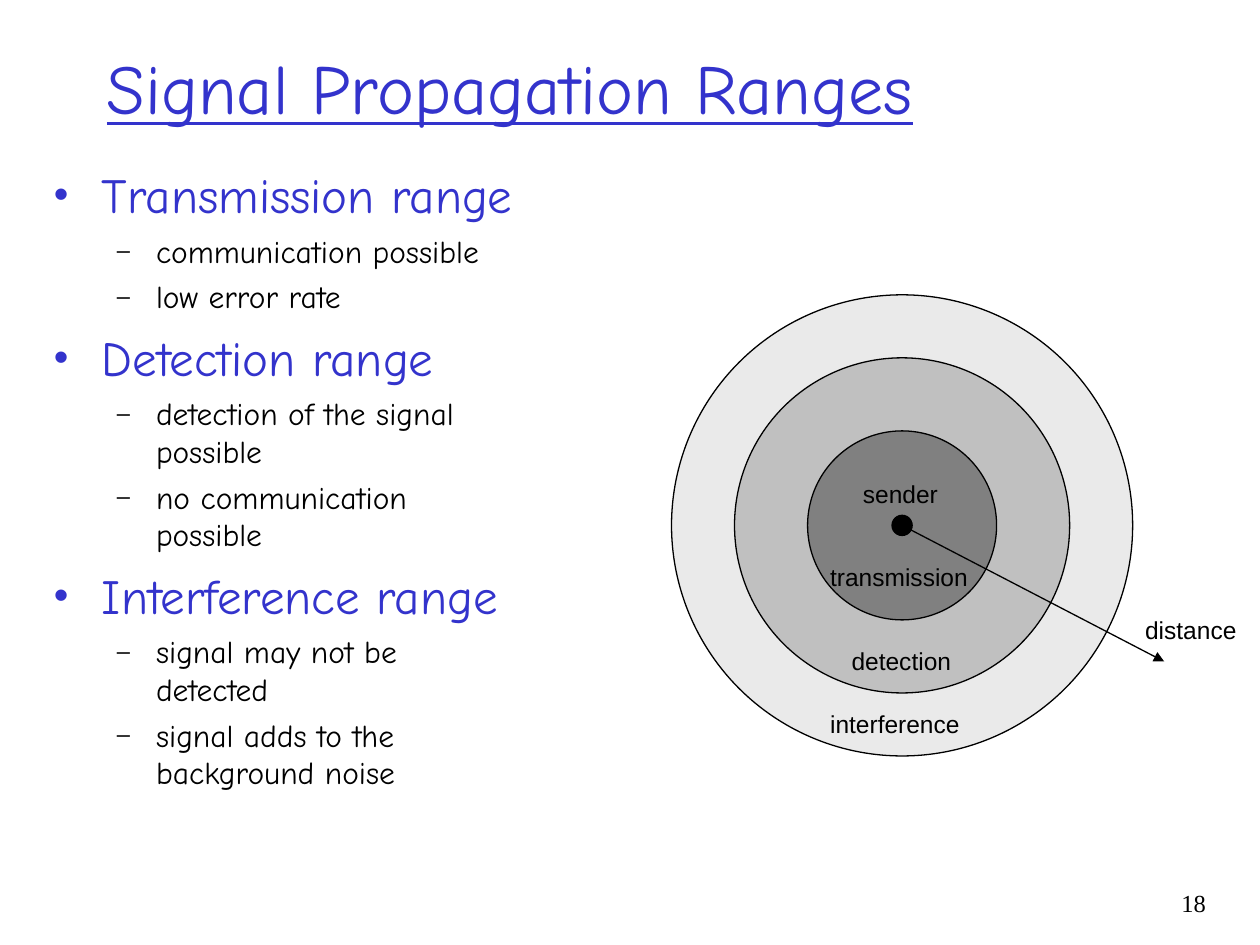
from lxml import etree
from pptx import Presentation
from pptx.dml.color import RGBColor
from pptx.enum.shapes import MSO_CONNECTOR, MSO_SHAPE
from pptx.enum.text import MSO_ANCHOR, MSO_AUTO_SIZE, PP_ALIGN
from pptx.oxml.ns import qn
from pptx.util import Inches, Pt

OVAL = MSO_SHAPE.OVAL
LINE = MSO_CONNECTOR.STRAIGHT
TOP, MID = MSO_ANCHOR.TOP, MSO_ANCHOR.MIDDLE
LEFT, RIGHT = PP_ALIGN.LEFT, PP_ALIGN.RIGHT
GROW = MSO_AUTO_SIZE.SHAPE_TO_FIT_TEXT

BLUE = RGBColor(0x33, 0x33, 0xCC)
BLACK = RGBColor(0, 0, 0)
PALE = RGBColor(0xEA, 0xEA, 0xEA)
SILVER = RGBColor(0xC0, 0xC0, 0xC0)
GRAY = RGBColor(0x80, 0x80, 0x80)

COMIC, SANS, SERIF = "Comic Neue", "Arial", "Times New Roman"

# The slide is a grid of square cells
COLS, ROWS = 10, 7.5
CELL = Inches(1)
HUB = (7.16, 4.17)

RINGS = [(1.83, PALE), (1.33, SILVER), (0.75, GRAY), (0.08, BLACK)]

LABELS = [
    ("distance", 8.99, 4.83, 0.93),
    ("sender", 6.75, 3.75, 0.8),
    ("transmission", 6.49, 4.41, 1.3),
    ("detection", 6.66, 5.08, 0.99),
    ("interference", 6.49, 5.58, 1.23),
]

TOPICS = [
    ("Transmission range", ["communication possible", "low error rate"]),
    ("Detection range", ["detection of the signal \npossible",
                         "no communication \npossible"]),
    ("Interference range", ["signal may not be \ndetected",
                            "signal adds to the \nbackground noise"]),
]

# Per level: sign, sign size in %, left margin, hang, space before, size, colour
LEVELS = [
    ("•", 85, 0.38, 0.38, 7, 28, BLUE),
    ("–", 75, 0.81, 0.31, 4.5, 18, BLACK),
]


def cells(*counts):
    return [round(n * CELL) for n in counts]


def style(para, text, font=SANS, size=14, color=BLACK, under=None, align=LEFT):
    para.text = text
    para.alignment = align
    for run in para.runs:
        run.font.name = font
        run.font.size = Pt(size)
        run.font.color.rgb = color
        run.font.underline = under


def add_box(slide, area, wrap=True, anchor=TOP):
    frame = slide.shapes.add_textbox(*cells(*area)).text_frame
    frame.word_wrap = wrap
    frame.vertical_anchor = anchor
    if not wrap:
        frame.auto_size = GROW
    return frame


def add_text(slide, text, area, wrap=True, anchor=TOP, **form):
    style(add_box(slide, area, wrap, anchor).paragraphs[0], text, **form)


def add_sign(para, sign, share, margin, hang, color):
    props = para._p.get_or_add_pPr()
    left, dent = cells(margin, -hang)
    props.set("marL", str(left))
    props.set("indent", str(dent))
    tint = etree.SubElement(props, qn("a:buClr"))
    etree.SubElement(tint, qn("a:srgbClr"), val=str(color))
    etree.SubElement(props, qn("a:buSzPct"), val=str(share * 1000))
    etree.SubElement(props, qn("a:buFont"), typeface=SANS)
    etree.SubElement(props, qn("a:buChar"), char=sign)


def add_list(slide, topics, area):
    frame = add_box(slide, area)
    items = [(level, text) for head, subs in topics
             for level, text in [(0, head)] + [(1, sub) for sub in subs]]
    for i, (level, text) in enumerate(items):
        sign, share, margin, hang, space, size, color = LEVELS[level]
        para = frame.add_paragraph() if i else frame.paragraphs[0]
        para.level = level
        add_sign(para, sign, share, margin, hang, color)
        para.space_before = Pt(space if i else 0)
        style(para, text, font=COMIC, size=size, color=color)


def add_ring(slide, hub, radius, color):
    x, y = hub
    area = cells(x - radius, y - radius, 2 * radius, 2 * radius)
    ring = slide.shapes.add_shape(OVAL, *area)
    ring.shadow.inherit = False
    ring.fill.solid()
    ring.fill.fore_color.rgb = color
    ring.line.color.rgb = BLACK
    ring.line.width = Pt(0.75)


def add_arrow(slide, start, end):
    arrow = slide.shapes.add_connector(LINE, *cells(*start, *end))
    arrow.line.color.rgb = BLACK
    arrow.line.width = Pt(0.75)
    etree.SubElement(arrow.line._get_or_add_ln(), qn("a:tailEnd"), type="triangle")
    etree.SubElement(arrow._element.spPr, qn("a:effectLst"))


def main():
    deck = Presentation()
    deck.slide_width, deck.slide_height = cells(COLS, ROWS)
    slide = deck.slides.add_slide(deck.slide_layouts[6])

    # Range diagram
    for radius, color in RINGS:
        add_ring(slide, HUB, radius, color)
    add_arrow(slide, HUB, (9.24, 5.25))
    for text, x, y, width in LABELS:
        add_text(slide, text, (x, y, width, 0.33), wrap=False)

    # Title, list and page number
    add_text(slide, "Signal Propagation Ranges", (0.75, 0.33, 8.67, 0.72),
             anchor=MID, font=COMIC, size=40, color=BLUE, under=True)
    add_list(slide, TOPICS, (0.33, 1.26, 9.32, 5.66))
    add_text(slide, "18", (8.93, 7, 0.74, 0.5), font=SERIF, align=RIGHT)

    deck.save("out.pptx")


if __name__ == "__main__":
    main()
